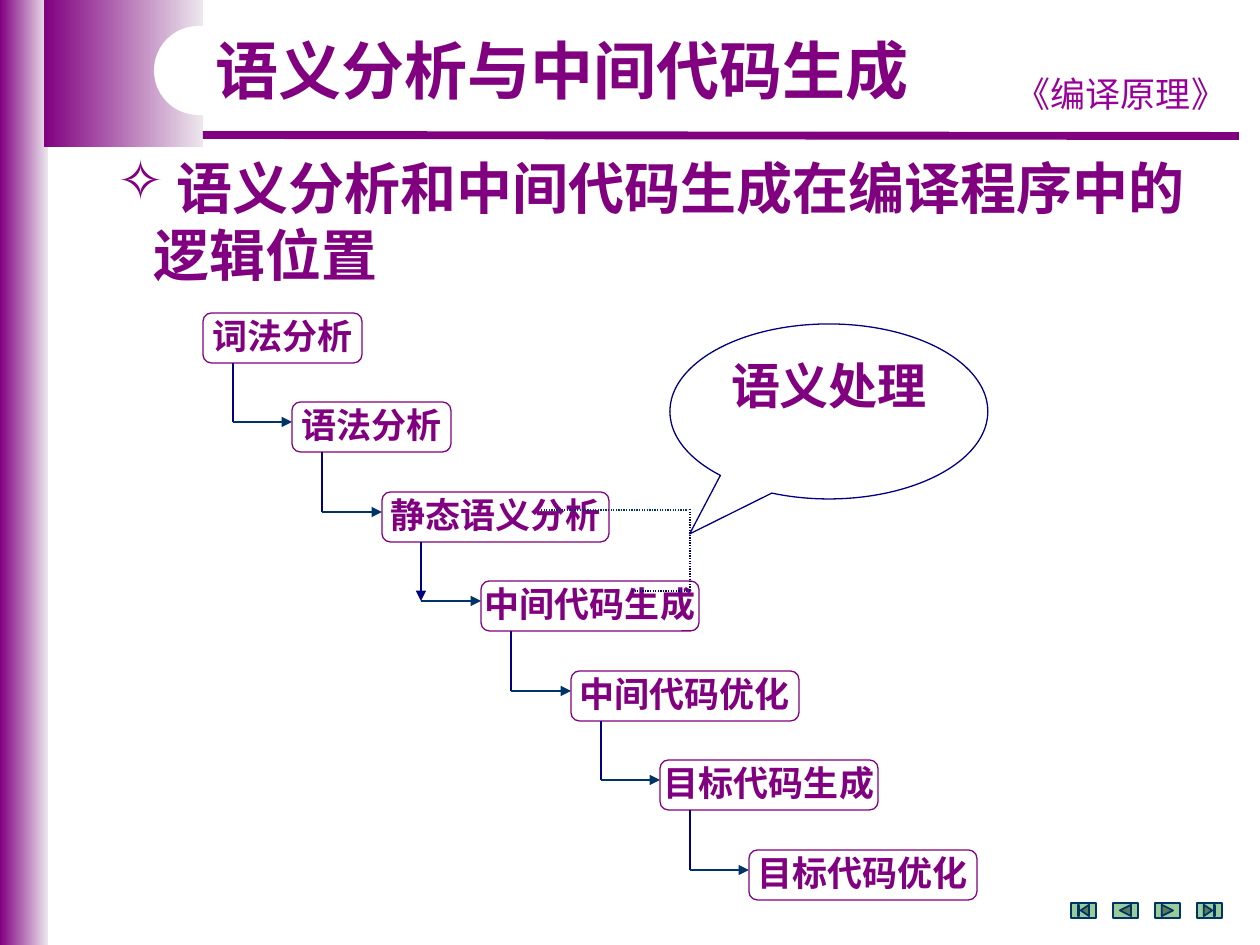
import pptx
import pptx.util
import pptx.dml.color
import pptx.enum.dml
import pptx.enum.shapes
import pptx.enum.text
import pptx.oxml.ns
from lxml import etree

RGB = pptx.dml.color.RGBColor
PURPLE = RGB(0x80, 0x00, 0x80)
PALE = RGB(0xED, 0xE7, 0xED)
VIOLET = RGB(0x99, 0x00, 0x99)
WHITE = RGB(0xFF, 0xFF, 0xFF)
NAVY = RGB(0x00, 0x00, 0x80)
TEAL = RGB(0x00, 0x33, 0x66)
GREEN = RGB(0x99, 0xCC, 0x99)

CJK = "Noto Sans CJK SC"
KIND = pptx.enum.shapes.MSO_SHAPE
ALIGN = pptx.enum.text.PP_ALIGN
ANCHOR = pptx.enum.text.MSO_ANCHOR
DOTS = pptx.enum.dml.MSO_LINE.ROUND_DOT
qn = pptx.oxml.ns.qn


def px(n):
    return pptx.util.Emu(round(n * 914400 / 126))


def add_run(para, text, size, font, color=PURPLE, bold=True):
    run = para.add_run()
    run.text = text
    run.font.size = pptx.util.Pt(size)
    run.font.name = font
    run.font.bold = bold
    run.font.color.rgb = color
    east = etree.SubElement(run.font._element, qn("a:ea"))
    east.set("typeface", font)


def add_shape(slide, kind, box, fill=None, line=None, width=0.75, adj=()):
    shape = slide.shapes.add_shape(kind, *map(px, box))
    shape.shadow.inherit = False
    if fill is None:
        shape.fill.background()
    else:
        shape.fill.solid()
        shape.fill.fore_color.rgb = fill
    if line is None:
        shape.line.fill.background()
    else:
        shape.line.color.rgb = line
        shape.line.width = pptx.util.Pt(width)
    for i, value in enumerate(adj):
        shape.adjustments[i] = value
    return shape


def add_fade(slide, box):
    shape = add_shape(slide, KIND.RECTANGLE, box)
    shape.fill.gradient()
    shape.fill.gradient_angle = 0
    for stop, color, pos in zip(shape.fill.gradient_stops, (PURPLE, PALE), (0, 1)):
        stop.color.rgb = color
        stop.position = pos


def add_text(slide, box):
    frame = slide.shapes.add_textbox(*map(px, box)).text_frame
    frame.word_wrap = True
    return frame


def add_line(slide, ends, color, width=0.75, arrow=False, dash=None):
    line = slide.shapes.add_connector(
        pptx.enum.shapes.MSO_CONNECTOR.STRAIGHT, *map(px, ends))
    line.line.color.rgb = color
    line.line.width = pptx.util.Pt(width)
    if dash:
        line.line.dash_style = dash
    if arrow:
        etree.SubElement(line.line._get_or_add_ln(), qn("a:tailEnd")).set("type", "triangle")
    etree.SubElement(line._element.spPr, qn("a:effectLst"))


def set_indent(para, left, first, mark=None):
    props = para._p.get_or_add_pPr()
    props.set("marL", str(px(left)))
    props.set("indent", str(px(first)))
    if mark:
        etree.SubElement(props, qn("a:buChar")).set("char", mark)
    else:
        etree.SubElement(props, qn("a:buNone"))


def add_frame(slide):
    # Side bar, corner block and rule
    add_fade(slide, (0, 0, 48, 945))
    add_fade(slide, (44, 0, 159, 147))
    add_line(slide, (203, 135, 1239, 136), PURPLE, 4.5)
    # Course name
    para = add_text(slide, (997, 66, 248, 54)).paragraphs[0]
    para.alignment = ALIGN.CENTER
    add_run(para, "《编译原理》", 20, "Comic Neue", VIOLET, False)
    # Title on its white tab
    add_shape(slide, KIND.ROUNDED_RECTANGLE, (154, 26, 456, 89), WHITE, adj=(0.5,))
    para = add_text(slide, (203, 34, 725, 81)).paragraphs[0]
    para.line_spacing = 0.9
    add_run(para, "语义分析与中间代码生成", 36, CJK)


def add_topic(slide):
    frame = add_text(slide, (105, 147, 1155, 147))
    first, second = frame.paragraphs[0], frame.add_paragraph()
    set_indent(first, 59, -59, "✧")
    add_run(first, "语义分析和中间代码生成在编译程序中的", 32, CJK)
    set_indent(second, 36, 0)
    add_run(second, "逻辑位置", 32, CJK)


def add_step(slide, text, box):
    shape = add_shape(slide, KIND.ROUNDED_RECTANGLE, box, WHITE, PURPLE, adj=(0.167,))
    frame = shape.text_frame
    frame.word_wrap = False
    frame.vertical_anchor = ANCHOR.MIDDLE
    para = frame.paragraphs[0]
    para.alignment = ALIGN.CENTER
    para.line_spacing = 0.9
    add_run(para, text, 20, "Arial")


def add_stairs(slide):
    # Name, left, width, inset of the line leaving the box
    steps = [
        ("词法分析", 203, 159, 30),
        ("语法分析", 292, 159, 30),
        ("静态语义分析", 382, 227, 39),
        ("中间代码生成", 481, 218, 30),
        ("中间代码优化", 571, 228, 30),
        ("目标代码生成", 660, 218, 30),
        ("目标代码优化", 749, 228, 30),
    ]
    high = 50
    tops = [313 + i * 179 // 2 for i in range(len(steps))]
    for (text, left, wide, _), top in zip(steps, tops):
        add_step(slide, text, (left, top, wide, high))
    # Elbows between neighbouring steps
    for i in range(len(steps) - 1):
        text, left, _, inset = steps[i]
        x, y = left + inset, tops[i + 1] + 20
        add_line(slide, (x, tops[i] + high, x, y), NAVY, arrow=text == "静态语义分析")
        add_line(slide, (x, y, steps[i + 1][1], y), TEAL, arrow=True)


def add_note(slide):
    shape = add_shape(slide, KIND.OVAL_CALLOUT, (670, 324, 318, 175),
                      line=NAVY, adj=(-0.438, 0.7))
    shape.text_frame.vertical_anchor = ANCHOR.TOP
    para = shape.text_frame.paragraphs[0]
    para.alignment = ALIGN.CENTER
    add_run(para, "语义处理", 28, "Arial")
    # Dotted bracket around the two semantic steps
    add_line(slide, (541, 510, 688, 510), TEAL, dash=DOTS)
    add_line(slide, (690, 509, 690, 591), NAVY, dash=DOTS)
    add_line(slide, (690, 591, 631, 591), NAVY, dash=DOTS)


def add_nav(slide):
    kinds = (KIND.ACTION_BUTTON_BEGINNING, KIND.ACTION_BUTTON_BACK_OR_PREVIOUS,
             KIND.ACTION_BUTTON_FORWARD_OR_NEXT, KIND.ACTION_BUTTON_END)
    for i, kind in enumerate(kinds):
        add_shape(slide, kind, (1071 + 42 * i, 903, 25, 15), GREEN, TEAL, 1)


def main():
    deck = pptx.Presentation()
    deck.slide_width, deck.slide_height = px(1260), px(945)
    slide = deck.slides.add_slide(deck.slide_layouts[6])
    add_frame(slide)
    add_topic(slide)
    add_nav(slide)
    add_stairs(slide)
    add_note(slide)
    deck.save("out.pptx")


if __name__ == "__main__":
    main()
